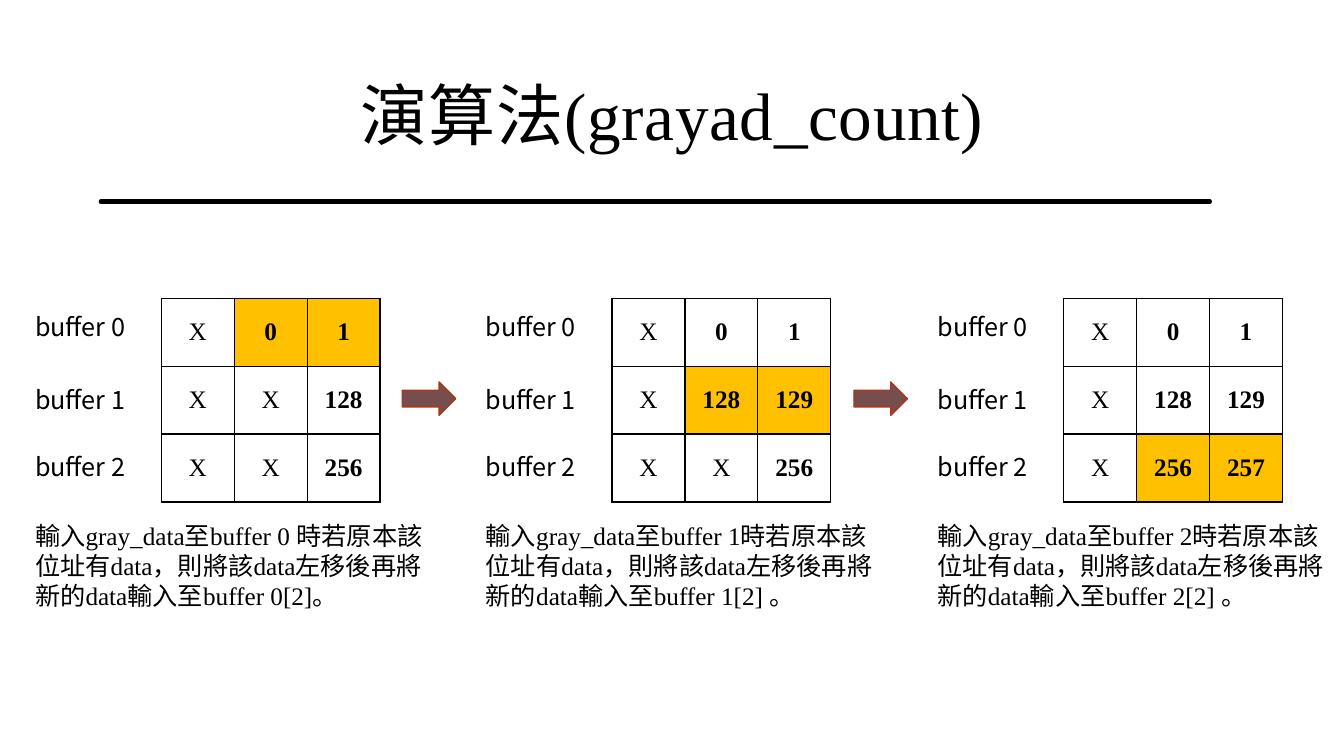
import math
from dataclasses import dataclass

import lxml.etree
import pptx
import pptx.dml.color
import pptx.enum.shapes
import pptx.enum.text
import pptx.oxml.ns
import pptx.util

Inches = pptx.util.Inches
qn = pptx.oxml.ns.qn
ALIGN = pptx.enum.text.PP_ALIGN
ANCHOR = pptx.enum.text.MSO_ANCHOR


@dataclass(frozen=True)
class Theme:
    ink: str = "000000"
    highlight: str = "FFC000"
    arrow_fill: str = "764E4E"
    arrow_line: str = "AA351A"
    serif: str = "Times New Roman"
    sans: str = "Noto Sans CJK JP"
    title_size: int = 48
    body_size: int = 18


def rgb(value):
    return pptx.dml.color.RGBColor.from_string(value)


class SlideBuilder:
    def __init__(self, slide, theme):
        self.slide = slide
        self.theme = theme

    def style_text(self, frame, text, font, size, align=ALIGN.LEFT, bold=False, spacing=0):
        frame.text = text
        paragraph = frame.paragraphs[0]
        paragraph.alignment = align
        for run in paragraph.runs:
            run.font.name = font
            run.font.size = pptx.util.Pt(size)
            run.font.bold = bold
            run.font.color.rgb = rgb(self.theme.ink)
            properties = run._r.get_or_add_rPr()
            properties.set("spc", str(spacing))
            east_asian = lxml.etree.SubElement(properties, qn("a:ea"))
            east_asian.set("typeface", self.theme.sans)

    def text(self, left, top, width, height, text, font, size,
             align=ALIGN.LEFT, anchor=ANCHOR.TOP, spacing=0):
        box = self.slide.shapes.add_textbox(
            Inches(left), Inches(top), Inches(width), Inches(height))
        frame = box.text_frame
        frame.word_wrap = True
        frame.vertical_anchor = anchor
        self.style_text(frame, text, font, size, align, spacing=spacing)

    def paint(self, shape, fill, line, weight):
        shape.shadow.inherit = False
        shape.fill.solid()
        shape.fill.fore_color.rgb = rgb(fill)
        shape.line.color.rgb = rgb(line)
        shape.line.width = pptx.util.Pt(weight)

    def brush_rule(self, left, top, width, thickness):
        """A hand-drawn rule: two edges that waver independently."""
        steps = 115

        def edge(offset, phase):
            return [(left + width * i / steps,
                     top + offset + 0.01 * math.sin(i * 0.45 + phase) * math.sin(i * 0.17))
                    for i in range(steps + 1)]

        outline = edge(0, 0) + edge(thickness, 2)[::-1]
        pen = self.slide.shapes.build_freeform(*outline[0], scale=Inches(1))
        pen.add_line_segments(outline[1:], close=True)
        self.paint(pen.convert_to_shape(), self.theme.ink, self.theme.ink, 3)

    def arrow(self, left, top, width, height):
        shape = self.slide.shapes.add_shape(
            pptx.enum.shapes.MSO_SHAPE.RIGHT_ARROW,
            Inches(left), Inches(top), Inches(width), Inches(height))
        self.paint(shape, self.theme.arrow_fill, self.theme.arrow_line, 1)

    def border(self, cell):
        properties = cell._tc.get_or_add_tcPr()
        for side in ("a:lnL", "a:lnR", "a:lnT", "a:lnB"):
            line = lxml.etree.SubElement(properties, qn(side), w=str(pptx.util.Pt(1)))
            fill = lxml.etree.SubElement(line, qn("a:solidFill"))
            lxml.etree.SubElement(fill, qn("a:srgbClr"), val=self.theme.ink)

    def buffer_table(self, left, top, width, height, values, active_row):
        table = self.slide.shapes.add_table(
            len(values), len(values[0]),
            Inches(left), Inches(top), Inches(width), Inches(height)).table
        table.first_row = table.horz_banding = False
        for r, row in enumerate(values):
            for c, value in enumerate(row):
                cell = table.cell(r, c)
                cell.vertical_anchor = ANCHOR.MIDDLE
                self.border(cell)
                if r == active_row and c > 0:
                    cell.fill.solid()
                    cell.fill.fore_color.rgb = rgb(self.theme.highlight)
                else:
                    cell.fill.background()
                self.style_text(cell.text_frame, value, self.theme.serif,
                                self.theme.body_size, ALIGN.CENTER, bold=value != "X")


def main():
    presentation = pptx.Presentation()
    presentation.slide_width = Inches(13.33)
    presentation.slide_height = Inches(7.5)
    theme = Theme()
    page = SlideBuilder(
        presentation.slides.add_slide(presentation.slide_layouts[6]), theme)

    # Heading
    page.brush_rule(0.92, 1.87, 11.5, 0.03)
    page.text(0.92, 0.4, 11.5, 1.45, "演算法(grayad_count)", theme.serif,
              theme.title_size, ALIGN.CENTER, ANCHOR.MIDDLE, spacing=50)

    # One panel per step: buffer contents and the explanation below
    steps = [
        (0.25, [["X", "0", "1"], ["X", "X", "128"], ["X", "X", "256"]],
         "輸入gray_data至buffer 0 時若原本該位址有data，則將該data左移後再將新的data輸入至buffer 0[2]。"),
        (4.72, [["X", "0", "1"], ["X", "128", "129"], ["X", "X", "256"]],
         "輸入gray_data至buffer 1時若原本該位址有data，則將該data左移後再將新的data輸入至buffer 1[2] 。"),
        (9.2, [["X", "0", "1"], ["X", "128", "129"], ["X", "256", "257"]],
         "輸入gray_data至buffer 2時若原本該位址有data，則將該data左移後再將新的data輸入至buffer 2[2] 。"),
    ]
    label_tops = (3.04, 3.76, 4.43)
    for step, (left, values, explanation) in enumerate(steps):
        page.buffer_table(left + 1.35, 2.96, 2.17, 2.02, values, active_row=step)
        for number, top in enumerate(label_tops):
            page.text(left, top, 1.19, 0.4, f"buffer {number}", theme.sans, theme.body_size)
        page.text(left, 5.11, 4.04, 1.01, explanation, theme.serif, theme.body_size)
        # Arrow leading in from the previous step
        if step > 0:
            page.arrow(left - 0.73, 3.79, 0.53, 0.33)

    presentation.save("out.pptx")


if __name__ == "__main__":
    main()
